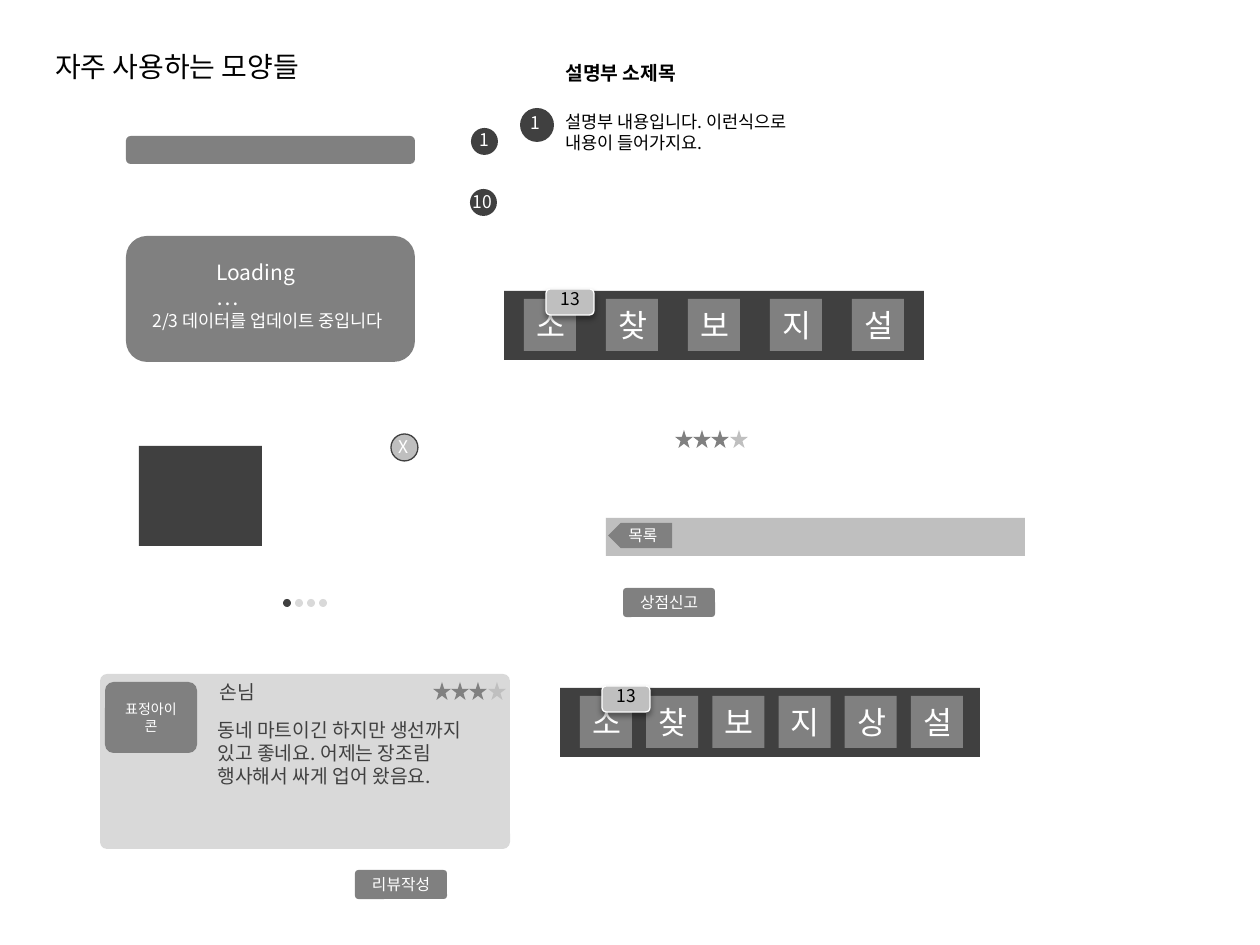
from lxml import etree
from pptx import Presentation
from pptx.dml.color import RGBColor
from pptx.enum.shapes import MSO_SHAPE as Shape
from pptx.enum.text import MSO_ANCHOR as Anchor, MSO_AUTO_SIZE as AutoSize, PP_ALIGN as Align
from pptx.oxml import parse_xml
from pptx.oxml.ns import nsdecls, qn
from pptx.util import Emu, Pt

PX = 914400 / 126
BLACK = RGBColor(0x00, 0x00, 0x00)
DARK = RGBColor(0x40, 0x40, 0x40)
GRAY = RGBColor(0x80, 0x80, 0x80)
SILVER = RGBColor(0xBF, 0xBF, 0xBF)
LIGHT = RGBColor(0xD9, 0xD9, 0xD9)
WHITE = RGBColor(0xFF, 0xFF, 0xFF)
KOREAN = "Noto Sans CJK KR"

presentation = Presentation()
presentation.slide_width = Emu(round(1260 * PX))
presentation.slide_height = Emu(round(945 * PX))
slide = presentation.slides.add_slide(presentation.slide_layouts[6])


def add_text(target, content, box, size, color, wrap=False, bold=False):
    """Write in a new text box, or centred in a shape when box is None."""
    if box:
        target = target.add_textbox(*[Emu(round(v * PX)) for v in box])
    frame = target.text_frame
    frame.text = content
    paragraph = frame.paragraphs[0]
    if box:
        frame.word_wrap = wrap
        frame.auto_size = AutoSize.NONE if wrap else AutoSize.SHAPE_TO_FIT_TEXT
    else:
        frame.word_wrap = True
        frame.vertical_anchor = Anchor.MIDDLE
        paragraph.alignment = Align.CENTER
    run = paragraph.runs[0]
    run.font.size = Pt(size)
    run.font.bold = bold
    run.font.color.rgb = color
    run.font.name = KOREAN if box else "Calibri"
    etree.SubElement(run.font._element, qn("a:ea"), typeface=KOREAN)


def add_shape(shapes, kind, box, fill, line=None, corner=None):
    shape = shapes.add_shape(kind, *[Emu(round(v * PX)) for v in box])
    shape.shadow.inherit = False
    shape.fill.solid()
    shape.fill.fore_color.rgb = fill
    if line is None:
        shape.line.fill.background()
    else:
        shape.line.color.rgb = line
        shape.line.width = Pt(0.75)
    if corner is not None:
        shape.adjustments[0] = corner
    return shape


# Title
add_text(slide.shapes, "자주 사용하는 모양들", (43, 43, 280, 47), 16, BLACK)

# Plain bar and loading message
add_shape(slide.shapes, Shape.ROUNDED_RECTANGLE, (126, 136, 289, 28), GRAY)
add_shape(slide.shapes, Shape.ROUNDED_RECTANGLE, (126, 236, 289, 126), GRAY)
add_text(slide.shapes, "Loading …", (204, 253, 130, 38), 12, WHITE, wrap=True)
add_text(slide.shapes, "2/3 데이터를 업데이트 중입니다", (140, 304, 275, 34), 10, WHITE, wrap=True)

# Description
add_text(slide.shapes, "설명부 내용입니다. 이런식으로 내용이 들어가지요.",
         (553, 105, 294, 63), 10, BLACK, wrap=True)
add_text(slide.shapes, "설명부 소제목", (553, 55, 141, 37), 11, BLACK, bold=True)

# Round markers: label, circle left, top, size, text left, top, width, fill, line
for label, left, top, size, text_left, text_top, width, fill, line in (
    ("1", 520, 108, 34, 518, 106, 37, DARK, None),
    ("1", 471, 128, 27, 467, 123, 37, DARK, None),
    ("10", 470, 189, 27, 460, 185, 47, DARK, None),
    ("X", 391, 434, 27, 386, 430, 38, SILVER, DARK),
):
    marker = slide.shapes.add_group_shape().shapes
    add_shape(marker, Shape.OVAL, (left, top, size, size), fill, line)
    add_text(marker, label, (text_left, text_top, width, 34), 10, WHITE)

# Tab bars with a count badge
for tabs, left, top, span in (("소찾보지설", 504, 291, 328), ("소찾보지상설", 560, 688, 331)):
    bar = slide.shapes.add_group_shape().shapes
    add_shape(bar, Shape.RECTANGLE, (left, top, 420, 69), DARK)
    for index, tab in enumerate(tabs):
        tile_left = left + 20 + span * index / (len(tabs) - 1)
        tile = add_shape(bar, Shape.RECTANGLE, (tile_left, top + 8, 52, 52), GRAY)
        add_text(tile, tab, None, 18, WHITE)
    badge = add_shape(bar, Shape.ROUNDED_RECTANGLE, (left + 42, top - 2, 48, 26), SILVER, WHITE)
    badge._element.spPr.find(qn("a:effectLst")).append(parse_xml(
        f'<a:outerShdw {nsdecls("a")} blurRad="{Pt(3.1)}" dist="{Pt(1.8)}" dir="5400000" '
        'rotWithShape="0"><a:srgbClr val="000000"><a:alpha val="35000"/></a:srgbClr></a:outerShdw>'))
    add_text(bar, "13", (left + 44, top - 9, 47, 34), 10, BLACK)

# Photo area
add_shape(slide.shapes, Shape.RECTANGLE, (139, 446, 123, 100), DARK)

# List bar with a back button
add_shape(slide.shapes, Shape.RECTANGLE, (606, 518, 419, 38), SILVER)
back = slide.shapes.add_group_shape().shapes
add_shape(back, Shape.PENTAGON, (608, 523, 64, 25), GRAY).rotation = 180
add_text(back, "목록", (616, 520, 55, 32), 9, WHITE)

# Page dots
dots = slide.shapes.add_group_shape().shapes
for index in range(4):
    add_shape(dots, Shape.OVAL, (283 + 12 * index, 599, 8, 8), LIGHT if index else DARK)

# Review card
add_shape(slide.shapes, Shape.ROUNDED_RECTANGLE, (100, 674, 410, 175), LIGHT, corner=0.04)
add_text(slide.shapes, "손님", (207, 674, 68, 35), 11, DARK, wrap=True)
add_text(slide.shapes, "동네 마트이긴 하지만 생선까지 있고 좋네요. 어제는 장조림 행사해서 싸게 업어 왔음요.",
         (205, 712, 292, 79), 11, DARK, wrap=True)

# Buttons
for label, box, size in (
    ("상점신고", (623, 588, 92, 29), 9),
    ("표정아이콘", (105, 682, 92, 71), 8),
    ("리뷰작성", (355, 870, 92, 29), 9),
):
    button = add_shape(slide.shapes, Shape.ROUNDED_RECTANGLE, box, GRAY, corner=0.12)
    add_text(button, label, None, size, WHITE)

# Star ratings, three of four
for left, top in ((675, 430), (433, 682)):
    rating = slide.shapes.add_group_shape().shapes
    for offset, fill in ((0, GRAY), (18, GRAY), (36, GRAY), (55, SILVER)):
        add_shape(rating, Shape.STAR_5_POINT, (left + offset, top, 18, 18), fill)

presentation.save("out.pptx")
